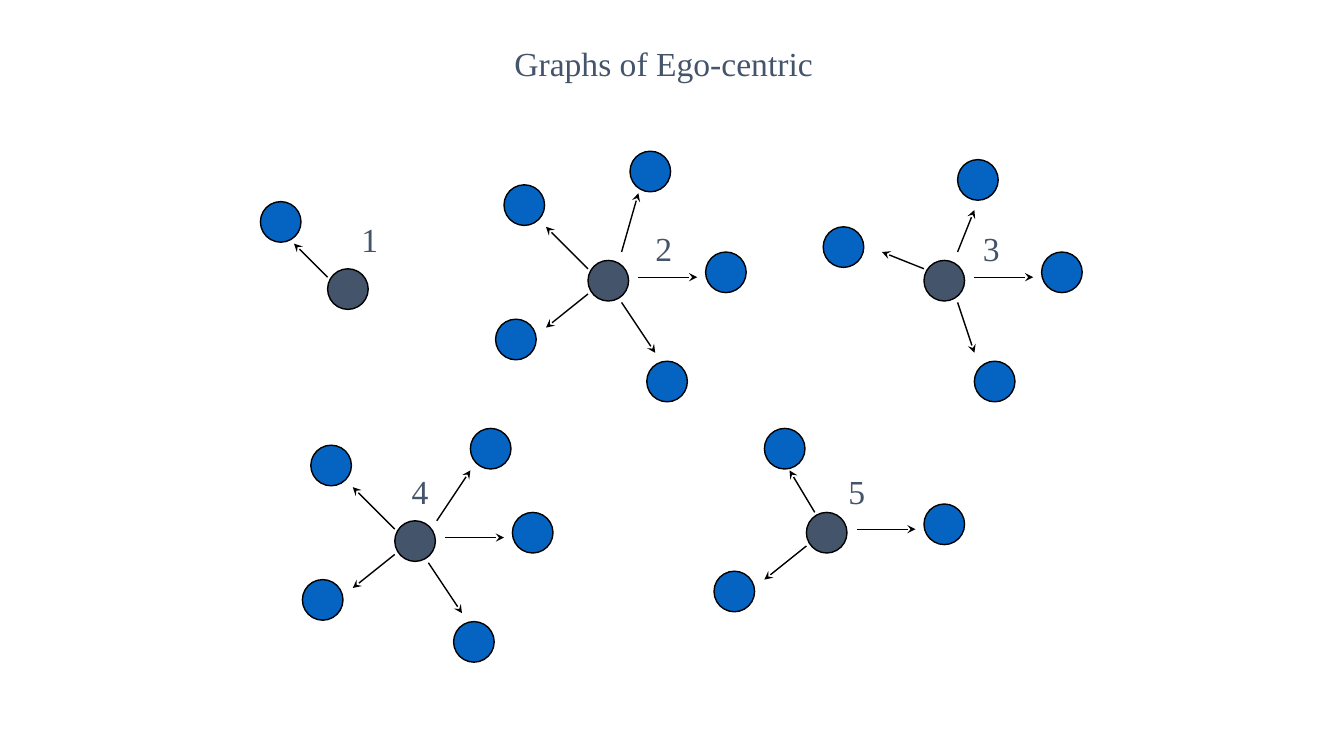
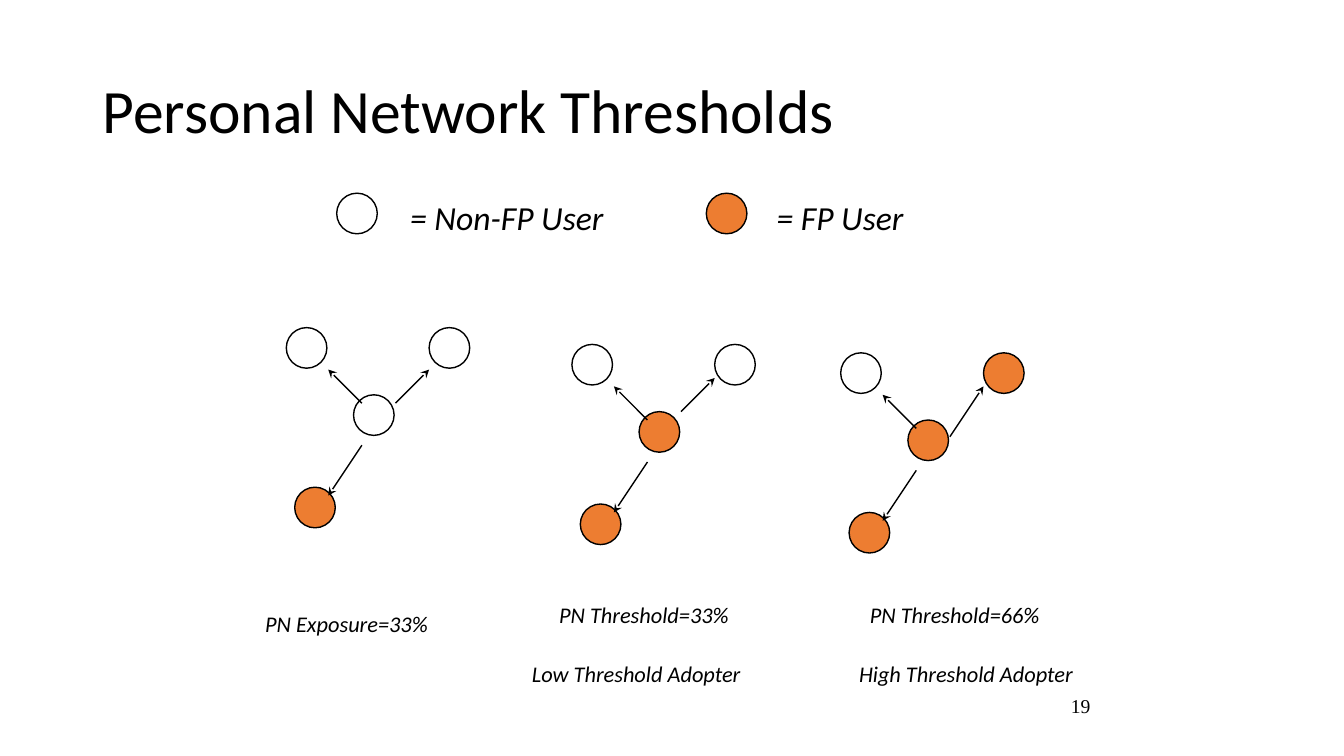
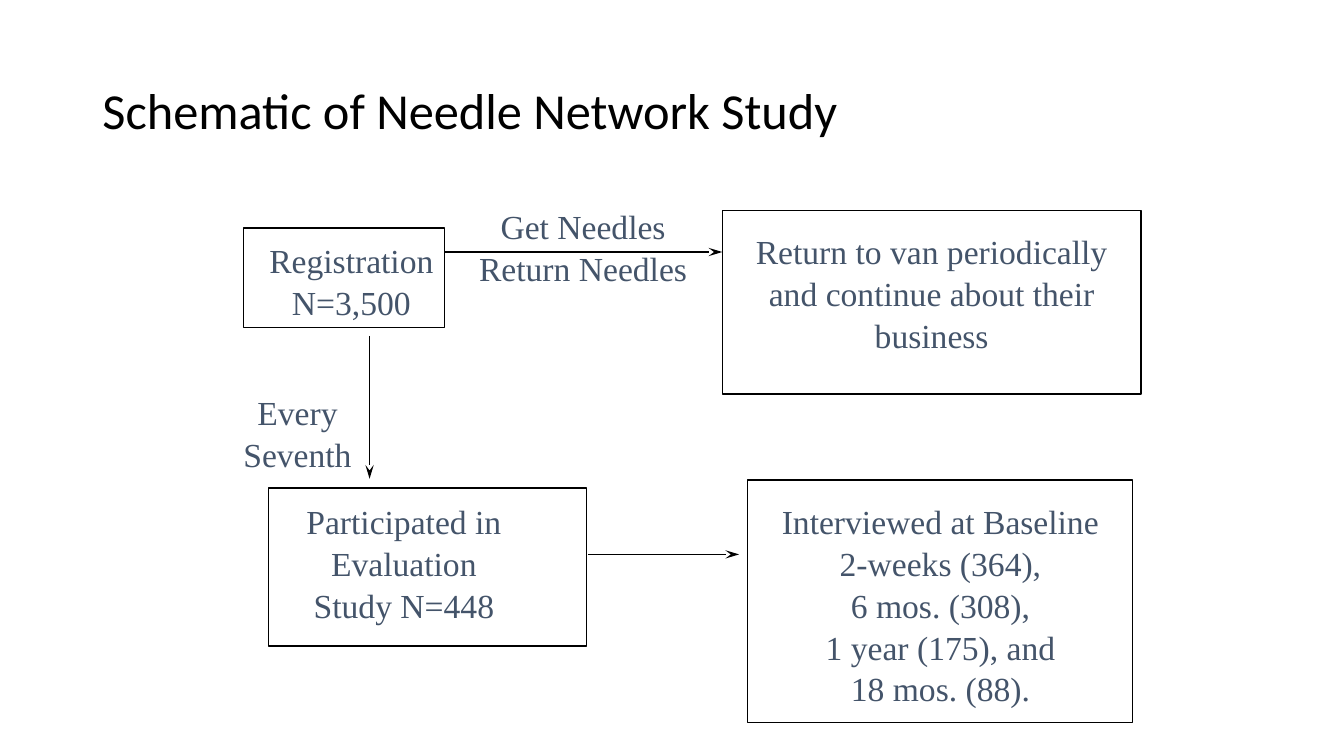
"""Build three slides on ego-centric networks and a needle study."""
import lxml.etree
import pptx
import pptx.dml.color
import pptx.enum.shapes
import pptx.enum.text
import pptx.oxml.ns
import pptx.util

Pt = pptx.util.Pt
ALIGN = pptx.enum.text.PP_ALIGN
ANCHOR = pptx.enum.text.MSO_ANCHOR
FIT = pptx.enum.text.MSO_AUTO_SIZE
SHAPES = pptx.enum.shapes.MSO_SHAPE

BLACK, WHITE, SLATE, BLUE, ORANGE = "000000", "FFFFFF", "44546A", "0563C1", "ED7D31"
SERIF, SANS = "Times New Roman", "Calibri"
NODE_SIZE = 29
TITLE_BOX = (66, 29, 828, 104)
SERIF_LABEL = dict(size=24, font=SERIF, color=SLATE)
SANS_LABEL = dict(size=16, font=SANS, color=BLACK, italic=True)

# Each spoke: alter offset, arrow start and arrow end, all from the ego's corner.
EAST = ((84, -6), (36, 12), (78, 12))
NORTHWEST = ((-60, -54), (0, 6), (-30, -24))
SOUTHEAST = ((42, 72), (24, 30), (48, 66))
SOUTHWEST = ((-66, 42), (0, 24), (-30, 48))
EGO_NETWORKS = [
    ("1", (234, 192), (251, 153), [((-48, -48), (0, 6), (-24, -18))]),
    ("2", (420, 186), (461, 159),
     [((30, -78), (24, -6), (36, -48)), NORTHWEST, EAST, SOUTHEAST, SOUTHWEST]),
    ("3", (660, 186), (695, 159),
     [((24, -72), (24, -6), (36, -36)), ((-72, -24), (0, 6), (-30, -6)), EAST,
      ((36, 72), (24, 30), (36, 66))]),
    ("4", (282, 372), (287, 333),
     [((54, -66), (30, 0), (54, -36)), NORTHWEST, EAST, SOUTHEAST, SOUTHWEST]),
    ("5", (576, 366), (599, 333),
     [((-30, -60), (6, 0), (-12, -30)), EAST, SOUTHWEST]),
]

UPPER_LEFT = ((-48, -48), (6, 6), (-18, -18))
LOWER_LEFT = ((-42, 66), (6, 36), (-18, 72))
THRESHOLD_NETWORKS = [
    ((252.5, 282), WHITE, WHITE, (30, 6), (54, -18)),
    ((456.5, 294), ORANGE, WHITE, (30, 0), (54, -24)),
    ((648.5, 300), ORANGE, ORANGE, (30, 12), (54, -24)),
]
LEGEND = [
    ((240.5, 138), WHITE, "= Non-FP User", (285, 137, 154, 37)),
    ((504.5, 138), ORANGE, "= FP User", (547, 137, 106, 37)),
]
CAPTIONS = [
    ("PN Exposure=33%", (181.5, 432, 132, 27)),
    ("PN Threshold=33%", (391, 425.5, 138, 27)),
    ("PN Threshold=66%", (613, 425.5, 138, 27)),
    ("Low Threshold Adopter", (371.5, 468, 166, 27)),
    ("High Threshold Adopter", (605.5, 468, 169, 27)),
]

STUDY_BOXES = [
    (174, 163, 143.5, 71), (192, 348.5, 227, 113),
    (534, 343, 275, 173), (516, 150.5, 299, 131),
]
STUDY_ARROWS = [
    ((264, 240), (264, 342)), ((420, 396), (528, 396)), ((318, 180), (516, 180)),
]
STUDY_TEXTS = [
    (["Registration", "N=3,500"], (184.5, 167, 133, 66)),
    (["Every", "Seventh"], (166, 275, 93, 66)),
    (["Participated in", "Evaluation", "Study N=448"], (208, 353, 161, 94)),
    (["Interviewed at Baseline", "2-weeks (364),", "6 mos. (308),",
      "1 year (175), and", "18 mos. (88)."], (550, 353, 243.5, 153)),
    (["Get Needles", "Return Needles"], (334, 142.5, 165, 66)),
    (["Return to van periodically", "and continue about their", "business"],
     (531.5, 160.5, 268, 94)),
]


def rgb(color):
    """Turn a hex string into a colour."""
    return pptx.dml.color.RGBColor.from_string(color)


def shift(origin, offset):
    """Move a point by an offset."""
    return origin[0] + offset[0], origin[1] + offset[1]


def place(shape, box):
    """Set left, top, width and height in points."""
    shape.left, shape.top, shape.width, shape.height = map(Pt, box)


def write(frame, lines, size, font, color, italic=False, align=ALIGN.CENTER, spacing=None):
    """Fill a text frame with one formatted paragraph per line."""
    for index, line in enumerate(lines):
        paragraph = frame.add_paragraph() if index else frame.paragraphs[0]
        paragraph.alignment = align
        paragraph.line_spacing = spacing
        run = paragraph.add_run()
        run.text = line
        run.font.size, run.font.name, run.font.italic = Pt(size), font, italic
        run.font.color.rgb = rgb(color)


def add_text(slide, lines, box, wrap=False, **text_format):
    """Add a text box."""
    frame = slide.shapes.add_textbox(*map(Pt, box)).text_frame
    frame.word_wrap = wrap
    frame.auto_size = FIT.NONE if wrap else FIT.SHAPE_TO_FIT_TEXT
    write(frame, lines, **text_format)


def add_outlined(slide, kind, box, fill):
    """Add a filled shape with a thin black outline."""
    shape = slide.shapes.add_shape(kind, *map(Pt, box))
    shape.shadow.inherit = False
    shape.fill.solid()
    shape.fill.fore_color.rgb = rgb(fill)
    shape.line.color.rgb = rgb(BLACK)
    shape.line.width = Pt(1)


def add_node(slide, corner, fill):
    """Add one network circle."""
    add_outlined(slide, SHAPES.OVAL, (*corner, NODE_SIZE, NODE_SIZE), fill)


def add_arrow(slide, start, end, length="med"):
    """Add a straight arrow with a stealth head at its end."""
    straight = pptx.enum.shapes.MSO_CONNECTOR.STRAIGHT
    arrow = slide.shapes.add_connector(straight, *map(Pt, (*start, *end)))
    arrow.line.color.rgb = rgb(BLACK)
    arrow.line.width = Pt(1)
    qn = pptx.oxml.ns.qn
    properties = arrow._element.spPr
    lxml.etree.SubElement(properties.find(qn("a:ln")), qn("a:tailEnd"),
                          type="stealth", w="med", len=length)
    lxml.etree.SubElement(properties, qn("a:effectLst"))


def add_network(slide, ego, ego_fill, spokes):
    """Add an ego, its alters and the arrows; spokes pair geometry with a fill."""
    add_node(slide, ego, ego_fill)
    for (alter, start, end), fill in spokes:
        add_node(slide, shift(ego, alter), fill)
        add_arrow(slide, shift(ego, start), shift(ego, end))


def add_slide(presentation, title, box=TITLE_BOX, **text_format):
    """Add a slide with its title placeholder moved and formatted."""
    slide = presentation.slides.add_slide(presentation.slide_layouts[5])
    place(slide.shapes.title, box)
    frame = slide.shapes.title.text_frame
    frame.word_wrap = True
    frame.auto_size = FIT.NONE
    frame.vertical_anchor = ANCHOR.MIDDLE
    style = dict(font=SANS, color=BLACK, align=ALIGN.LEFT, spacing=0.9)
    write(frame, [title], **{**style, **text_format})
    return slide


def build_ego_slide(presentation):
    """Build the five ego-centric graphs."""
    slide = add_slide(presentation, "Graphs of Ego-centric", (168, 0, 612, 90),
                      align=ALIGN.CENTER, spacing=1, **SERIF_LABEL)
    for number, ego, label, spokes in EGO_NETWORKS:
        add_network(slide, ego, SLATE, [(spoke, BLUE) for spoke in spokes])
        add_text(slide, [number], (*label, 26, 36), **SERIF_LABEL)


def build_threshold_slide(presentation):
    """Build the three threshold networks with legend and captions."""
    slide = add_slide(presentation, "Personal Network Thresholds", size=44)
    for ego, ego_fill, right_fill, start, end in THRESHOLD_NETWORKS:
        add_network(slide, ego, ego_fill, [
            (((54, -48), start, end), right_fill),
            (UPPER_LEFT, WHITE),
            (LOWER_LEFT, ORANGE),
        ])
    for corner, fill, text, box in LEGEND:
        add_node(slide, corner, fill)
        add_text(slide, [text], box, **{**SANS_LABEL, "size": 24})
    for text, box in CAPTIONS:
        add_text(slide, [text], box, **SANS_LABEL)
    add_text(slide, ["19"], (636, 492, 150, 36), wrap=True, size=14, font=SERIF,
             color=BLACK, align=ALIGN.RIGHT)


def build_study_slide(presentation):
    """Build the flow chart of the study."""
    slide = add_slide(presentation, "Schematic of Needle Network Study", size=36)
    for box in STUDY_BOXES:
        add_outlined(slide, SHAPES.RECTANGLE, box, WHITE)
    for start, end in STUDY_ARROWS:
        add_arrow(slide, start, end, length="lg")
    for lines, box in STUDY_TEXTS:
        add_text(slide, lines, box, spacing=1.04, **SERIF_LABEL)


def main():
    """Build and save the presentation."""
    presentation = pptx.Presentation()
    presentation.slide_width, presentation.slide_height = Pt(960), Pt(540)
    build_ego_slide(presentation)
    build_threshold_slide(presentation)
    build_study_slide(presentation)
    presentation.save("out.pptx")


if __name__ == "__main__":
    main()
